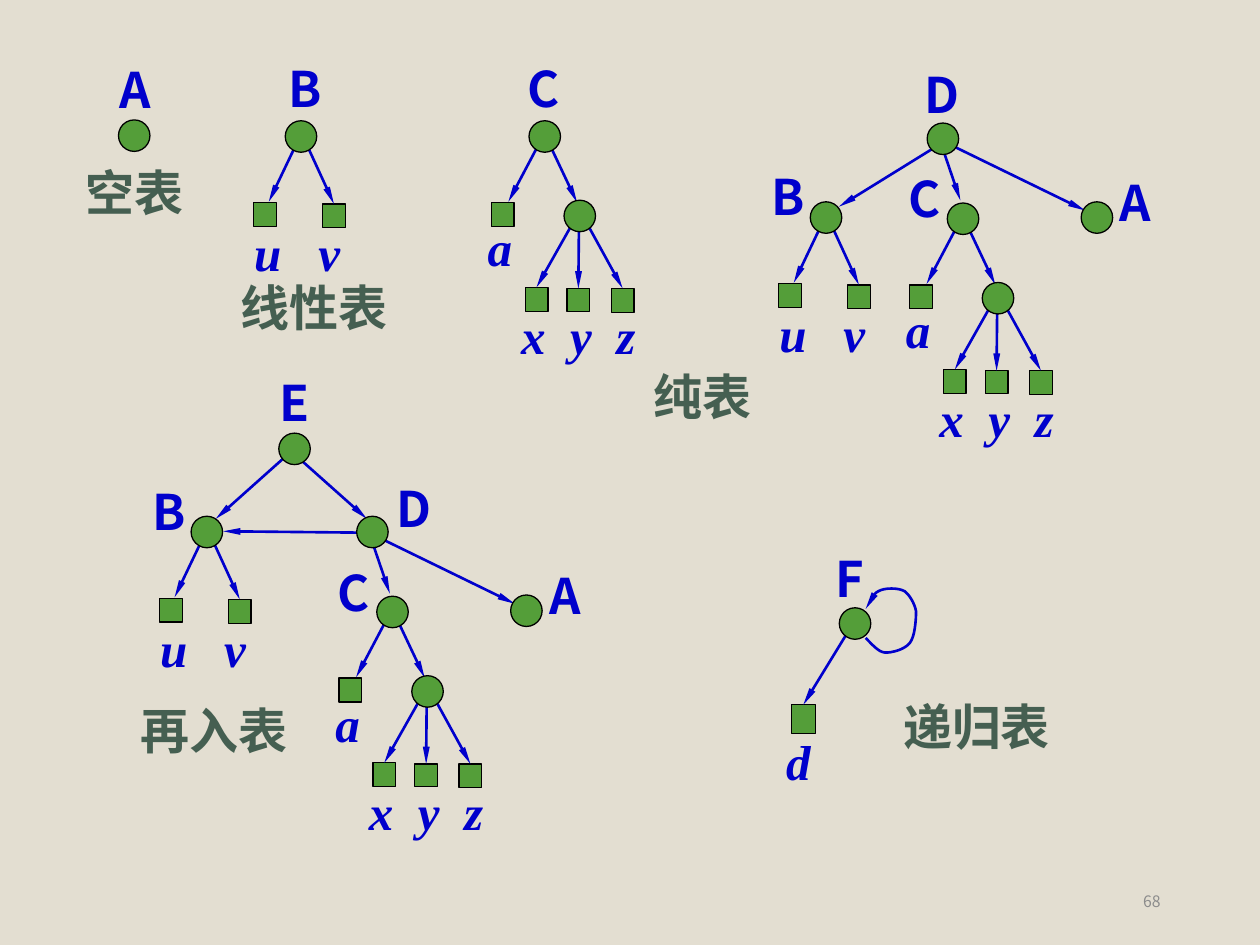
from lxml.etree import SubElement
from pptx import Presentation
from pptx.dml.color import RGBColor
from pptx.enum.shapes import MSO_CONNECTOR, MSO_SHAPE
from pptx.enum.text import MSO_ANCHOR, MSO_AUTO_SIZE, PP_ALIGN
from pptx.oxml.ns import qn
from pptx.util import Pt

COLORS = {"background": "E3DED1", "node": "549E39", "outline": "000000",
          "blue": "0000CC", "caption": "455F51", "number": "8C8C8C"}
SANS, SERIF = "Noto Sans CJK SC", "Times New Roman"
NODE = 18
LEAF = (13, 13.7)
TEXT_HEIGHT = 41

presentation = Presentation()
presentation.slide_width, presentation.slide_height = Pt(720), Pt(540)
slide = presentation.slides.add_slide(presentation.slide_layouts[6])


def color(name):
    return RGBColor.from_string(COLORS[name])


def add_text(left, top, width, text, ink="blue", font=SANS, size=28, height=TEXT_HEIGHT):
    shape = slide.shapes.add_textbox(Pt(left), Pt(top), Pt(width), Pt(height))
    shape.text_frame.word_wrap = False
    shape.text_frame.auto_size = MSO_AUTO_SIZE.SHAPE_TO_FIT_TEXT
    run = shape.text_frame.paragraphs[0].add_run()
    run.text = text
    run.font.name, run.font.size = font, Pt(size)
    run.font.bold, run.font.italic = size == 28, font == SERIF
    run.font.color.rgb = color(ink)
    SubElement(run.font._element, qn("a:ea"), typeface=font)
    return shape


def add_leaf_names(left, top, width, text, tabs=()):
    """Names of the leaves in one row, spaced by tab stops."""
    frame = add_text(left, top, width, text, font=SERIF).text_frame
    if tabs:
        frame.word_wrap, frame.margin_right = True, 0
        properties = frame.paragraphs[0]._p.get_or_add_pPr()
        tab_list = SubElement(properties, qn("a:tabLst"))
        for position in tabs:
            SubElement(tab_list, qn("a:tab"), pos=str(Pt(position)), algn="l")


def add_solid(kind, left, top, width, height):
    shape = slide.shapes.add_shape(kind, Pt(left), Pt(top), Pt(width), Pt(height))
    shape.shadow.inherit = False
    shape.fill.solid()
    shape.fill.fore_color.rgb = color("node")
    shape.line.color.rgb = color("outline")
    shape.line.width = Pt(0.75)
    return shape


def add_node(left, top, name=None, offset=(0, 0), width=34.5):
    add_solid(MSO_SHAPE.OVAL, left, top, NODE, NODE)
    if name:
        add_text(left + offset[0], top + offset[1], width, name)


def add_leaf(left, top, size=LEAF):
    return add_solid(MSO_SHAPE.RECTANGLE, left, top, *size)


def style_arrow(line):
    line.color.rgb = color("blue")
    line.width = Pt(1.5)
    SubElement(line._get_or_add_ln(), qn("a:tailEnd"), type="triangle", w="sm", len="lg")


def add_arrow(left, top, start, end, leaf=None):
    """Arrow between two offsets from a node, joined to the top of a leaf if given."""
    points = [Pt(value) for value in (left + start[0], top + start[1],
                                      left + end[0], top + end[1])]
    connector = slide.shapes.add_connector(MSO_CONNECTOR.STRAIGHT, *points)
    if leaf is not None:
        connector.end_connect(leaf, 0)
    style_arrow(connector.line)
    SubElement(connector._element.spPr, qn("a:effectLst"))


def tree_b(left, top, offset):
    add_leaf(left - 18, top + 46.8)
    leaf_v = add_leaf(left + 21.3, top + 47.5)
    add_arrow(left, top, (6.5, 13), (-9.4, 46.3))
    add_arrow(left, top, (12, 13), (27.8, 47.5), leaf_v)
    add_node(left, top, "B", offset, 33)
    add_leaf_names(left - 24.8, top + 54.7, 63.4, "u\tv", (36.6,))


def tree_c(left, top, offset):
    # First level: leaf a and an unnamed node
    add_leaf(left - 21.6, top + 46.8)
    add_arrow(left, top, (5.8, 13), (-11.8, 46.3))
    add_arrow(left, top, (11.5, 13), (27.4, 46.6))
    add_node(left, top, "C", offset)
    add_leaf_names(left - 30.7, top + 51.8, 28.8, "a")
    # Second level: leaves x, y, z
    for x, y, height, start in ((-2.2, 95.2, LEAF[1], (25, 58.5)),
                                (21.7, 95.9, 13, (28.6, 53)),
                                (47, 95.8, LEAF[1], (33, 58.5))):
        leaf = add_leaf(left + x, top + y, (LEAF[0], height))
        add_arrow(left, top, start, (x + LEAF[0] / 2, y), leaf)
    add_node(left + 20, top + 45.4)
    add_leaf_names(left - 11.6, top + 102.2, 80, "x\ty\tz", (28, 54.5))


def tree_d(left, top, offset, b_place, b_arrow):
    """List D refers to lists B, C and A."""
    add_arrow(left, top, *b_arrow)
    add_arrow(left, top, (8.9, 14.6), (19, 44.2))
    add_arrow(left, top, (14.4, 13), (90.3, 50))
    add_node(left, top, "D", offset)
    tree_b(left + b_place[0], top + b_place[1], (-29, -23.4))
    tree_c(left + 11.5, top + 45.7, (-29.5, -23))
    add_node(left + 88, top + 45, "A", (15.1, -20.2))


def tree_e(left, top):
    """List E shares list B with its member D."""
    add_arrow(left, top, (10, 13), (50.4, 49))
    add_arrow(left, top, (4.3, 13), (-36, 49))
    add_node(left, top, "E", (-6.5, -38.2), 33)
    tree_d(left + 44.5, top + 47.5, (15.8, -25.2), (-94.6, 0), ((4.3, 9.4), (-76.3, 8.6)))


def tree_f(left, top):
    """List F contains leaf d and itself."""
    leaf_d = add_leaf(left - 27.4, top + 55.4, (13.7, 16.6))
    add_arrow(left, top, (5, 13.7), (-20.5, 55.4), leaf_d)
    add_node(left, top, "F", (-9.4, -37.4), 31.7)
    add_leaf_names(left - 37.4, top + 67, 28.8, "d")
    # Loop back to F, made of cubic curves
    start = (15.1, 17.3)
    curves = [((18.7, 20.9), (22.3, 25.2), (25.9, 25.6)),
              ((30.2, 25.9), (37.4, 23.8), (40.3, 20.2)),
              ((43.2, 16.6), (43.9, 7.2), (43.9, 2.2)),
              ((43.2, -2.2), (40.3, -7.2), (37.4, -9.4)),
              ((33.8, -11.5), (25.9, -11.5), (22.3, -9.4)),
              ((18.7, -7.9), (16.6, -0.7), (15.1, 0.7))]
    points, here, steps = [], start, 8
    for first, second, end in curves:
        for step in range(1, steps + 1):
            t = step / steps
            weights = ((1 - t) ** 3, 3 * t * (1 - t) ** 2, 3 * t * t * (1 - t), t ** 3)
            points.append(tuple(
                Pt(origin + sum(w * p[axis] for w, p in zip(weights, (here, first, second, end))))
                for axis, origin in enumerate((left, top))))
        here = end
    builder = slide.shapes.build_freeform(Pt(left + start[0]), Pt(top + start[1]))
    builder.add_line_segments(points, close=False)
    loop = builder.convert_to_shape()
    loop.shadow.inherit = False
    loop.fill.background()
    style_arrow(loop.line)


def slide_number(left, top, width, height):
    shape = add_text(left, top, width, "68", "number", size=9, height=height)
    frame = shape.text_frame
    frame.word_wrap, frame.auto_size = True, MSO_AUTO_SIZE.NONE
    frame.vertical_anchor = MSO_ANCHOR.MIDDLE
    frame.paragraphs[0].alignment = PP_ALIGN.RIGHT


def main():
    slide.background.fill.solid()
    slide.background.fill.fore_color.rgb = color("background")
    # Lists A to F
    add_node(67.7, 68.5, "A", (-6.5, -38.2))
    tree_b(163, 69, (-5.3, -38.8))
    tree_c(302.3, 69, (-7.9, -38.8))
    tree_d(529.8, 70.3, (-8.5, -37.2), (-66.8, 45), ((4.3, 14), (-50.4, 47.8)))
    tree_e(159.3, 247.5)
    tree_f(479.6, 347.3)
    # Kinds of list
    for left, top, text in ((41.8, 89.3, "空表"), (130.3, 154.8, "线性表"),
                            (73.4, 396.7, "再入表"), (366.5, 206, "纯表"),
                            (509, 394.6, "递归表")):
        add_text(left, top, 14.4 + 28 * len(text), text, "caption")
    slide_number(508.3, 500.4, 162, 28.8)
    presentation.save("out.pptx")


if __name__ == "__main__":
    main()
